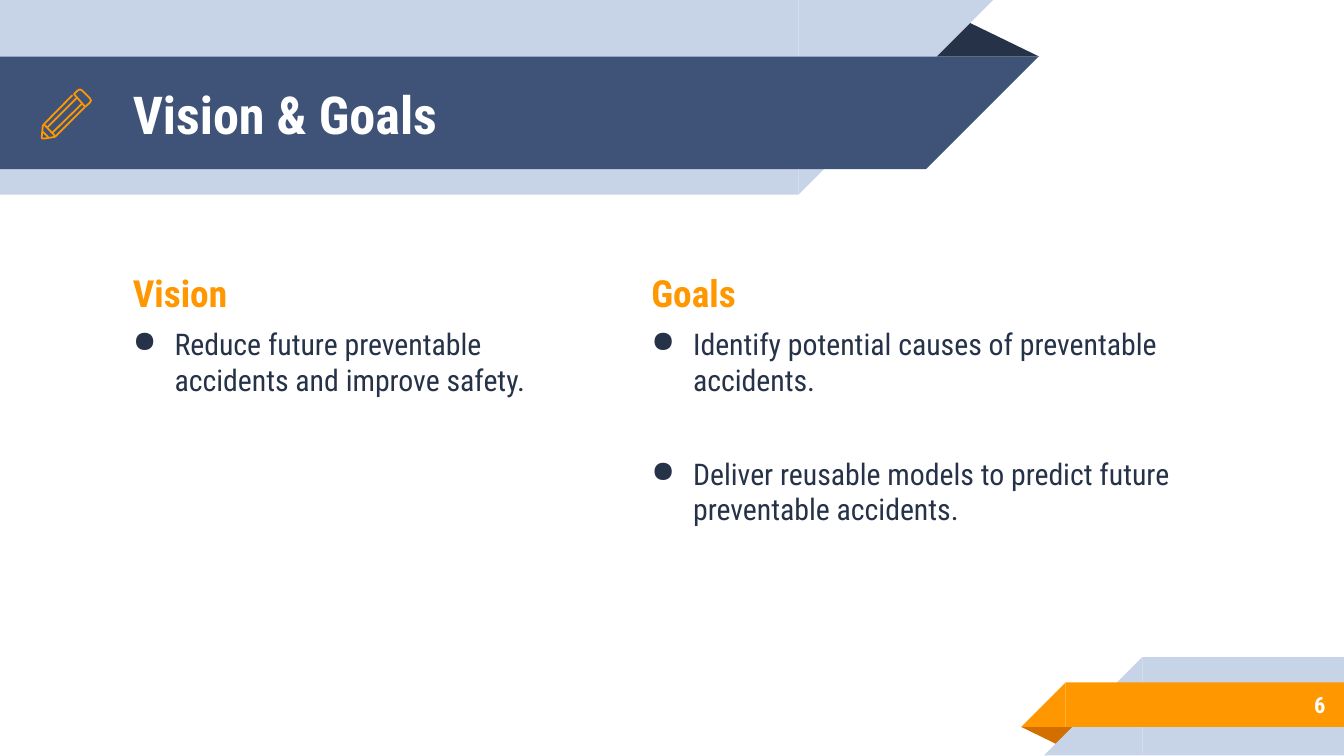
from typing import NamedTuple

from lxml.etree import SubElement
from pptx import Presentation
from pptx.dml.color import RGBColor
from pptx.enum.shapes import MSO_CONNECTOR as Connector
from pptx.enum.shapes import MSO_SHAPE as Preset
from pptx.enum.text import MSO_ANCHOR as Anchor
from pptx.enum.text import PP_ALIGN as Align
from pptx.oxml.ns import qn
from pptx.slide import Slide
from pptx.util import Cm, Pt

COLORS = {
    "pale": "C7D3E6",
    "blue": "3F5378",
    "navy": "263248",
    "orange": "FF9800",
    "rust": "D26F00",
    "white": "FFFFFF",
}
FONT = "Roboto Condensed"
FORMATS = {
    "title": {"size": Pt(28), "bold": True, "color": "white"},
    "heading": {"size": Pt(20), "bold": True, "color": "orange"},
    "bullet": {"size": Pt(16), "bold": False, "color": "navy"},
    "number": {"size": Pt(12), "bold": True, "color": "white"},
}
INDENT = Cm(0.79)
ICON_LINE = Pt(0.96)


class Box(NamedTuple):
    left: float
    top: float
    width: float
    height: float


class Band(NamedTuple):
    """A bar whose slanted end is a right triangle as wide as it is high."""
    bar: Box
    slants_right: bool
    color: str


class Fold(NamedTuple):
    box: Box
    rotation: int
    color: str


class Line(NamedTuple):
    text: str
    style: str
    space_before: int = 0


class TextBlock(NamedTuple):
    box: Box
    lines: list[Line]
    anchor: Anchor = Anchor.TOP
    align: Align = Align.LEFT


class Outline(NamedTuple):
    points: list[tuple[float, float]]
    closed: bool


# Ribbons, from back to front
RIBBONS = [
    Fold(Box(17.48, 0.36, 2.16, 0.71), 0, "navy"),
    Band(Box(0, 0, 15.09, 3.68), True, "pale"),
    Band(Box(0, 1.07, 17.5, 2.13), True, "blue"),
    Fold(Box(19.3, 13.74, 1.09, 0.36), 180, "rust"),
    Band(Box(21.59, 12.42, 3.81, 1.86), False, "pale"),
    Band(Box(20.14, 12.9, 5.26, 0.84), False, "orange"),
]

TEXTS = [
    TextBlock(Box(2.26, 1.09, 14.6, 2.13), [Line("Vision & Goals", "title")], Anchor.MIDDLE),
    TextBlock(Box(2.26, 4.85, 8.56, 4.88), [
        Line("Vision", "heading"),
        Line("Reduce future preventable accidents and improve safety.", "bullet", 6),
    ]),
    TextBlock(Box(12.06, 4.85, 11.18, 4.88), [
        Line("Goals", "heading"),
        Line("Identify potential causes of preventable accidents.", "bullet", 6),
        Line("Deliver reusable models to predict future preventable accidents.", "bullet", 31),
    ]),
    TextBlock(Box(21.16, 12.88, 4.14, 0.89), [Line("6", "number")], Anchor.MIDDLE, Align.RIGHT),
]

# Pencil icon
PENCIL_OUTLINES = [
    Outline([(1.4, 1.78), (1.47, 1.71), (1.51, 1.69), (1.55, 1.71),
             (1.7, 1.86), (1.72, 1.9), (1.7, 1.94), (1.61, 2.02)], True),
    Outline([(1.37, 1.8), (0.83, 2.35), (0.81, 2.38), (0.79, 2.59), (0.8, 2.62),
             (0.83, 2.62), (1.03, 2.59), (1.06, 2.57), (1.6, 2.03)], False),
]
PENCIL_STROKES = [
    ((1.55, 1.96), (0.99, 2.51)),
    ((0.89, 2.41), (1.45, 1.85)),
    ((0.91, 2.59), (0.81, 2.49)),
    ((0.84, 2.36), (1.04, 2.57)),
]


def rgb(name: str) -> RGBColor:
    return RGBColor.from_string(COLORS[name])


def draw_shape(slide: Slide, preset: Preset, box: Box, color: str, rotation: int = 0):
    shape = slide.shapes.add_shape(preset, *map(Cm, box))
    shape.rotation = rotation
    shape.shadow.inherit = False
    shape.fill.solid()
    shape.fill.fore_color.rgb = rgb(color)
    shape.line.fill.background()
    return shape


def draw_fold(slide: Slide, fold: Fold) -> None:
    shape = draw_shape(slide, Preset.ISOSCELES_TRIANGLE, fold.box, fold.color, fold.rotation)
    shape.adjustments[0] = 0.324


def draw_band(slide: Slide, band: Band) -> None:
    left, top, width, height = band.bar
    slant_left = left + width if band.slants_right else left - height
    draw_shape(slide, Preset.RECTANGLE, band.bar, band.color)
    draw_shape(slide, Preset.RIGHT_TRIANGLE, Box(slant_left, top, height, height),
               band.color, 90 if band.slants_right else 270)


def add_bullet(paragraph) -> None:
    properties = paragraph._p.get_or_add_pPr()
    properties.set("marL", str(INDENT))
    properties.set("indent", str(-INDENT))
    bullet_color = SubElement(properties, qn("a:buClr"))
    SubElement(bullet_color, qn("a:srgbClr"), val=COLORS["navy"])
    SubElement(properties, qn("a:buChar"), char="●")


def draw_text(slide: Slide, block: TextBlock) -> None:
    frame = slide.shapes.add_textbox(*map(Cm, block.box)).text_frame
    frame.word_wrap = True
    frame.vertical_anchor = block.anchor
    for side in ("left", "top", "right", "bottom"):
        setattr(frame, f"margin_{side}", Cm(0.25))
    for index, line in enumerate(block.lines):
        paragraph = frame.add_paragraph() if index else frame.paragraphs[0]
        paragraph.alignment = block.align
        if line.space_before:
            paragraph.space_before = Pt(line.space_before)
        if line.style == "bullet":
            add_bullet(paragraph)
        run = paragraph.add_run()
        run.text = line.text
        run.font.name = FONT
        for name, value in FORMATS[line.style].items():
            if name == "color":
                run.font.color.rgb = rgb(value)
            else:
                setattr(run.font, name, value)


def draw_outline(slide: Slide, outline: Outline) -> None:
    points = [(Cm(x), Cm(y)) for x, y in outline.points]
    builder = slide.shapes.build_freeform(*points[0])
    builder.add_line_segments(points[1:], close=outline.closed)
    shape = builder.convert_to_shape()
    shape.shadow.inherit = False
    shape.fill.background()
    shape.line.color.rgb = rgb("orange")
    shape.line.width = ICON_LINE


def draw_stroke(slide: Slide, start: tuple[float, float], end: tuple[float, float]) -> None:
    connector = slide.shapes.add_connector(Connector.STRAIGHT, *map(Cm, start + end))
    connector.line.color.rgb = rgb("orange")
    connector.line.width = ICON_LINE
    SubElement(connector._element.spPr, qn("a:effectLst"))


def main() -> None:
    presentation = Presentation()
    presentation.slide_width, presentation.slide_height = Cm(25.4), Cm(14.29)
    slide = presentation.slides.add_slide(presentation.slide_layouts[6])
    for ribbon in RIBBONS:
        if isinstance(ribbon, Fold):
            draw_fold(slide, ribbon)
        else:
            draw_band(slide, ribbon)
    for block in TEXTS:
        draw_text(slide, block)
    for outline in PENCIL_OUTLINES:
        draw_outline(slide, outline)
    for start, end in PENCIL_STROKES:
        draw_stroke(slide, start, end)
    presentation.save("out.pptx")


if __name__ == "__main__":
    main()
